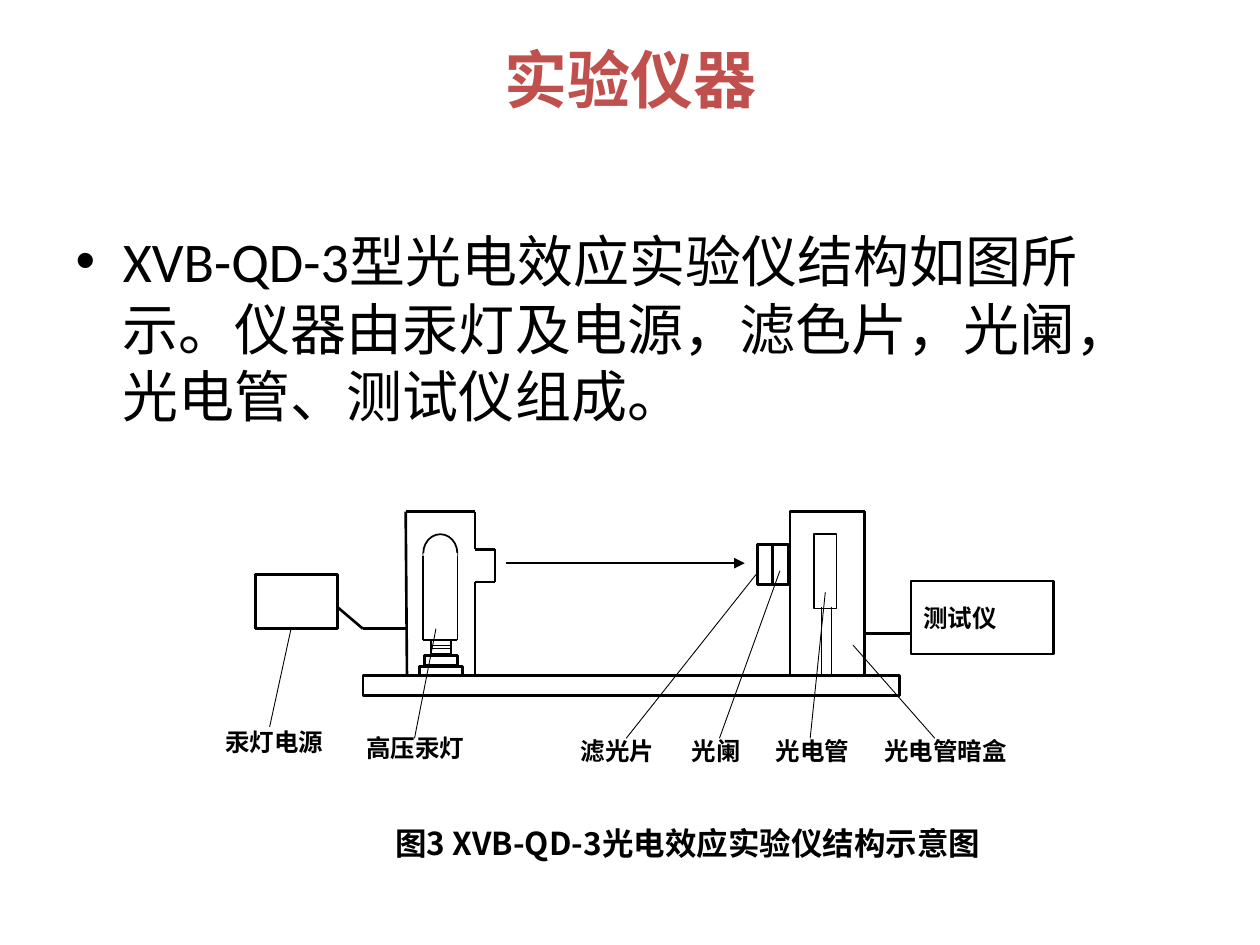
from dataclasses import dataclass
from itertools import pairwise

from lxml import etree
from pptx import Presentation
from pptx.dml.color import RGBColor
from pptx.enum.shapes import MSO_CONNECTOR, MSO_SHAPE
from pptx.enum.text import MSO_ANCHOR, MSO_AUTO_SIZE, PP_ALIGN
from pptx.oxml.ns import qn
from pptx.util import Inches, Pt

RECT, OVAL = MSO_SHAPE.RECTANGLE, MSO_SHAPE.OVAL
STRAIGHT = MSO_CONNECTOR.STRAIGHT
TOP, MIDDLE = MSO_ANCHOR.TOP, MSO_ANCHOR.MIDDLE
LEFT, CENTER, JUSTIFY = PP_ALIGN.LEFT, PP_ALIGN.CENTER, PP_ALIGN.JUSTIFY

BLACK = RGBColor(0x00, 0x00, 0x00)
WHITE = RGBColor(0xFF, 0xFF, 0xFF)
RED = RGBColor(0xC0, 0x50, 0x4D)

# The slide is a grid of 1000 columns by 750 rows of square cells.
WIDE, HIGH = Inches(10), Inches(7.5)
CELL = WIDE // 1000
THICK, MID, THIN = 1.5, 1, 0.5
MODEL = "XVB-QD-3"


@dataclass
class Box:
    """A white shape in grid cells; a line of 0 points is none."""
    col: int
    row: int
    cols: int
    rows: int
    line: float = THICK
    text: str = ""
    size: int = 14
    font: str = "Calibri"
    anchor: int = TOP
    kind: int = RECT


@dataclass
class Wire:
    """A run of straight lines through grid points."""
    points: list[tuple[int, int]]
    line: float = THICK
    arrow: bool = False


CASES = [
    Box(304, 649, 485, 46, 0, f"图3 {MODEL}光电效应实验仪结构示意图", 18, "Noto Sans CJK SC"),
    Box(288, 536, 426, 16),  # base
    Box(627, 406, 59, 130),  # dark box
    Box(611, 432, 15, 32),   # aperture
    Box(601, 432, 12, 32),   # filter
]
LAMP = [
    Wire([(323, 536), (322, 406), (377, 406), (377, 436), (393, 436),
          (393, 462), (377, 462), (377, 536), (321, 536)]),
    Box(333, 529, 34, 7),
    Box(337, 520, 26, 8),
    Box(342, 508, 16, 11),
    Wire([(342, 512), (358, 512)], THIN),
    Wire([(341, 515), (357, 515)], THIN),
    Box(336, 424, 27, 30, MID, kind=OVAL),
    Box(336, 439, 27, 17, 0),
    Wire([(336, 441), (336, 508), (363, 508), (363, 441)], MID),
]
TUBE = [
    Box(646, 424, 18, 59, MID),
    Wire([(402, 447), (591, 447)], arrow=True),
    Wire([(652, 482), (652, 536)], MID),
    Wire([(660, 482), (660, 536)], MID),
]
LABELS = [
    Box(169, 572, 105, 40, 0, "汞灯电源"),
    Box(281, 577, 103, 45, 0, "高压汞灯"),
    Box(451, 579, 99, 44, 0, "滤光片"),
    Box(539, 579, 80, 44, 0, "光阑"),
    Box(606, 579, 86, 45, 0, "光电管"),
    Box(692, 579, 122, 50, 0, "光电管暗盒"),
]
POWER = [
    Box(203, 456, 65, 43),
    Box(723, 461, 113, 58, text="测试仪", anchor=MIDDLE),
    Wire([(686, 503), (723, 503)]),
    Wire([(268, 482), (288, 499), (322, 499)]),
]
LEADS = [Wire(ends, THIN) for ends in (
    [(214, 577), (231, 499)],
    [(329, 586), (346, 499)],
    [(643, 586), (655, 470)],
    [(742, 586), (677, 512)],
    [(571, 586), (619, 453)],
    [(497, 586), (600, 456)],
)]


def write(shape, text: str, *, size: int, font: str = "Calibri",
          color: RGBColor = BLACK, bold: bool = False,
          align: int = LEFT, anchor: int = TOP) -> None:
    frame = shape.text_frame
    frame.word_wrap = True
    frame.auto_size = MSO_AUTO_SIZE.NONE
    frame.vertical_anchor = anchor
    para = frame.paragraphs[0]
    para.alignment = align
    para._p.get_or_add_pPr().set("hangingPunct", "0")
    run = para.add_run()
    run.text = text
    run.font.size = Pt(size)
    run.font.name = font
    run.font.bold = bold
    run.font.color.rgb = color


def place(shape, col: int, row: int, cols: int, rows: int) -> None:
    shape.left, shape.top = col * CELL, row * CELL
    shape.width, shape.height = cols * CELL, rows * CELL


def draw_box(slide, box: Box) -> None:
    shape = slide.shapes.add_shape(box.kind, 0, 0, CELL, CELL)
    place(shape, box.col, box.row, box.cols, box.rows)
    shape.shadow.inherit = False
    shape.fill.solid()
    shape.fill.fore_color.rgb = WHITE
    if box.line:
        shape.line.color.rgb = BLACK
        shape.line.width = Pt(box.line)
    else:
        shape.line.fill.background()
    if box.text:
        write(shape, box.text, size=box.size, font=box.font, bold=True,
              align=JUSTIFY, anchor=box.anchor)


def draw_wire(slide, wire: Wire) -> None:
    for start, end in pairwise(wire.points):
        ends = [CELL * n for n in start + end]
        line = slide.shapes.add_connector(STRAIGHT, *ends)
        line.line.color.rgb = BLACK
        line.line.width = Pt(wire.line)
        if wire.arrow:
            stroke = line.line._get_or_add_ln()
            etree.SubElement(stroke, qn("a:tailEnd"), type="triangle")
        etree.SubElement(line._element.spPr, qn("a:effectLst"))


def main() -> None:
    deck = Presentation()
    deck.slide_width, deck.slide_height = WIDE, HIGH
    slide = deck.slides.add_slide(deck.slide_layouts[1])

    title, body = slide.placeholders
    place(title, 50, 30, 900, 125)
    write(title, "实验仪器", size=36, color=RED, bold=True, align=CENTER)
    title.text_frame.margin_top = 2 * CELL
    place(body, 50, 175, 900, 495)
    write(body, f"{MODEL}型光电效应实验仪结构如图所示。仪器由汞灯及电源，"
                "滤色片，光阑，光电管、测试仪组成。", size=32)

    for part in CASES + LAMP + TUBE + LABELS + POWER + LEADS:
        if isinstance(part, Box):
            draw_box(slide, part)
        else:
            draw_wire(slide, part)
    deck.save("out.pptx")


if __name__ == "__main__":
    main()
